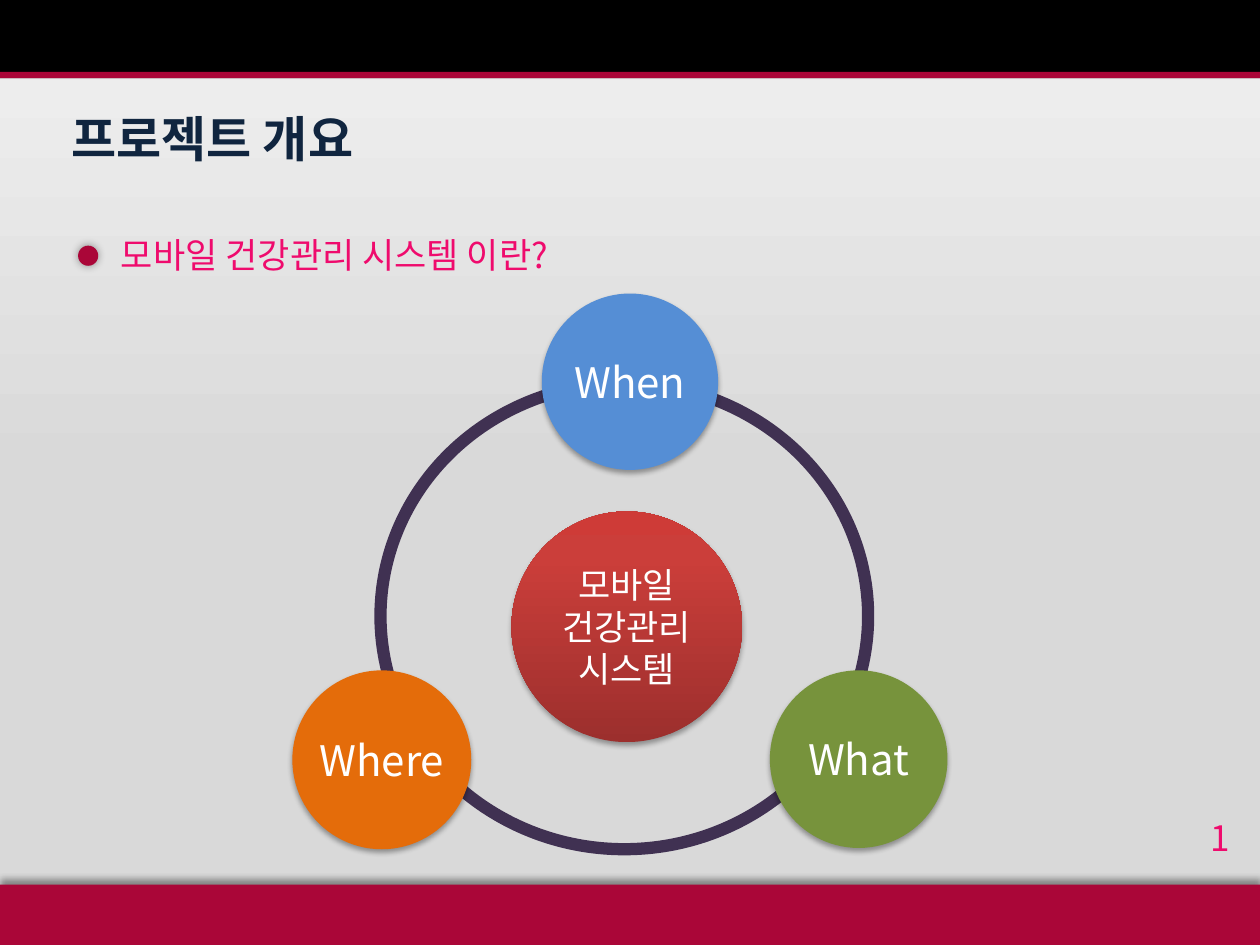
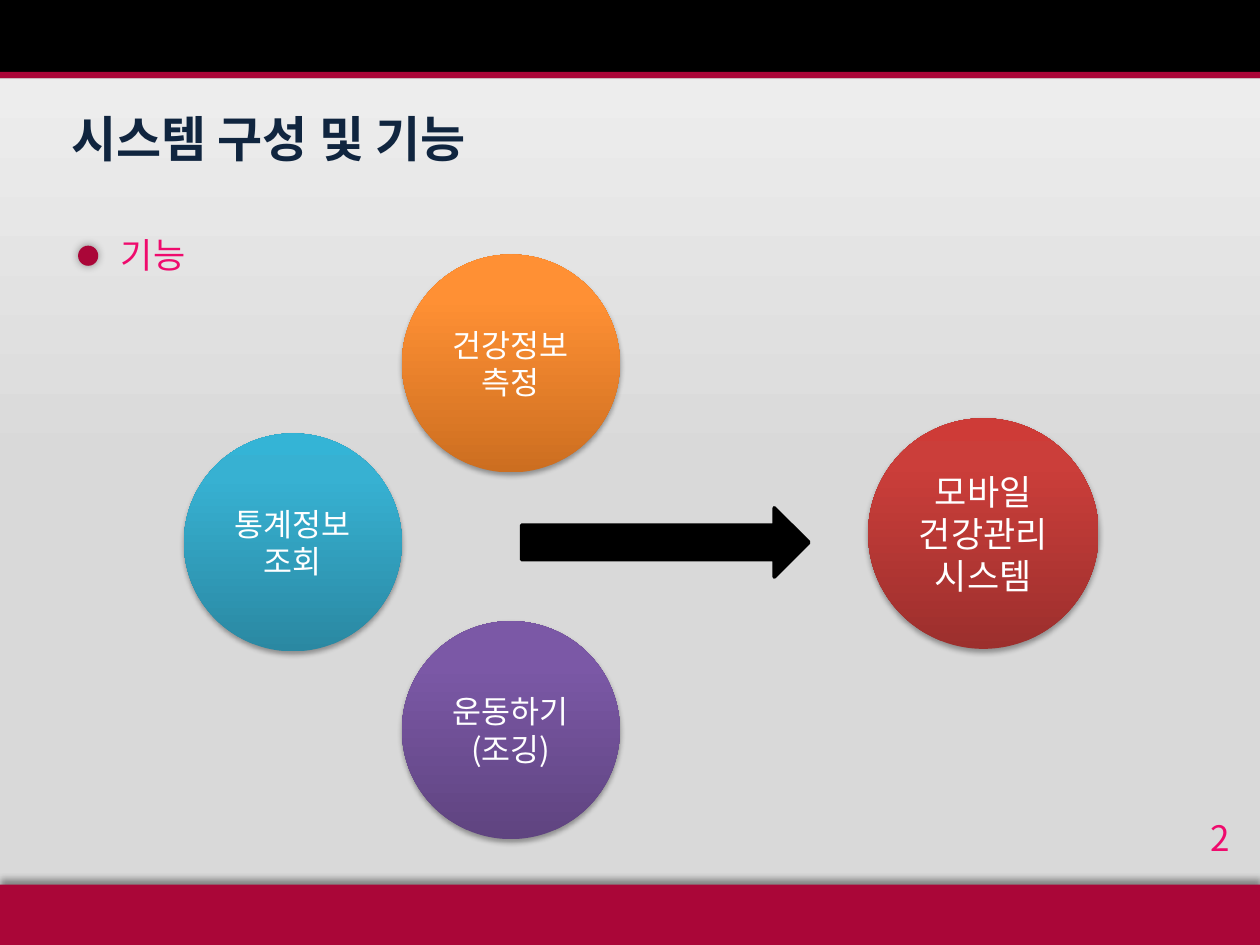
from lxml.etree import SubElement
from pptx import Presentation
from pptx.dml.color import RGBColor
from pptx.enum.shapes import MSO_SHAPE
from pptx.enum.text import MSO_ANCHOR, MSO_AUTO_SIZE, PP_ALIGN
from pptx.oxml.ns import qn
from pptx.util import Inches, Pt

FONT = "Noto Sans CJK KR"
BLACK = RGBColor(0x00, 0x00, 0x00)
WHITE = RGBColor(0xFF, 0xFF, 0xFF)
CRIMSON = RGBColor(0xAA, 0x06, 0x38)
NAVY = RGBColor(0x10, 0x25, 0x3F)
PINK = RGBColor(0xEF, 0x0B, 0x6D)
PURPLE = RGBColor(0x40, 0x31, 0x52)
BLUE = RGBColor(0x55, 0x8E, 0xD5)
ORANGE = RGBColor(0xE4, 0x6C, 0x0A)
GREEN = RGBColor(0x77, 0x93, 0x3C)
LIGHT_GREY = RGBColor(0xF2, 0xF2, 0xF2)
GREY = RGBColor(0xD9, 0xD9, 0xD9)

# Gradient colours at 0, 80 and 100 percent, from bottom to top
RED_BALL = [RGBColor(0x9C, 0x2F, 0x2D), RGBColor(0xCB, 0x3E, 0x3A), RGBColor(0xCE, 0x3B, 0x37)]
ORANGE_BALL = [RGBColor(0xCC, 0x6E, 0x20), RGBColor(0xFF, 0x90, 0x34), RGBColor(0xFF, 0x91, 0x36)]
CYAN_BALL = [RGBColor(0x2A, 0x88, 0xA2), RGBColor(0x37, 0xB1, 0xD2), RGBColor(0x34, 0xB4, 0xD6)]
PURPLE_BALL = [RGBColor(0x5F, 0x44, 0x80), RGBColor(0x7B, 0x58, 0xA6), RGBColor(0x7C, 0x57, 0xA8)]

# Opacity percent, blur points, distance points, direction degrees
BALL_SHADOW = (35, 3.1, 1.8, 90)
FOOTER_SHADOW = (40, 4, 3, 270)
DOT_SHADOW = (40, 5, 0, 0)

TITLE = {"size": Pt(28), "bold": True, "color": NAVY}
LEAD = {"size": Pt(20), "color": PINK}
BALL_LARGE = {"size": Pt(24), "color": WHITE}
BALL_MEDIUM = {"size": Pt(20), "color": WHITE}
BALL_SMALL = {"size": Pt(18), "color": WHITE}
SYSTEM_NAME = ["모바일", "건강관리", "시스템"]


def set_gradient(fill, element, colors, positions, angle):
    """Fill with colour stops; the angle runs counter-clockwise."""
    fill.gradient()
    fill.gradient_angle = angle
    stops = element.find(".//" + qn("a:gsLst"))
    for stop in list(stops):
        stops.remove(stop)
    for color, position in zip(colors, positions):
        stop = SubElement(stops, qn("a:gs"), pos=str(position * 1000))
        SubElement(stop, qn("a:srgbClr"), val=str(color))


def set_shadow(shape, opacity, blur, distance, direction):
    effects = shape._element.spPr.find(qn("a:effectLst"))
    shadow = SubElement(effects, qn("a:outerShdw"), blurRad=str(Pt(blur)), dist=str(Pt(distance)),
                        dir=str(direction * 60000), algn="ctr", rotWithShape="0")
    color = SubElement(shadow, qn("a:srgbClr"), val=str(BLACK))
    SubElement(color, qn("a:alpha"), val=str(opacity * 1000))


def add_span(para, text, style):
    span = para.add_run()
    span.text = text
    span.font.name = FONT
    for name, value in style.items():
        if name == "color":
            span.font.color.rgb = value
        else:
            setattr(span.font, name, value)
    SubElement(span.font._element, qn("a:ea"), typeface=FONT)


def write_lines(frame, lines, style, align=PP_ALIGN.LEFT, anchor=MSO_ANCHOR.TOP, wrap=True):
    settings = {"word_wrap": wrap, "vertical_anchor": anchor, "auto_size": MSO_AUTO_SIZE.NONE}
    for name, value in settings.items():
        setattr(frame, name, value)
    for index, line in enumerate(lines):
        para = frame.add_paragraph() if index else frame.paragraphs[0]
        para.alignment = align
        add_span(para, line, style)


def place(shape, left, top, width, height):
    box = {"left": left, "top": top, "width": width, "height": height}
    for name, value in box.items():
        setattr(shape, name, Inches(value))


def add_figure(page, kind, left, top, width, height, fill=None, line=None, line_width=0, shadow=None):
    shape = page.shapes.add_shape(kind, *map(Inches, (left, top, width, height)))
    shape.shadow.inherit = False
    if isinstance(fill, list):
        set_gradient(shape.fill, shape._element, fill, (0, 80, 100), 90)
    elif fill is None:
        shape.fill.background()
    else:
        shape.fill.solid()
        shape.fill.fore_color.rgb = fill
    if line is None:
        shape.line.fill.background()
    else:
        shape.line.color.rgb = line
        shape.line.width = Pt(line_width)
    if shadow:
        set_shadow(shape, *shadow)
    return shape


def add_ball(page, left, top, size, fill, lines, style, wrap=False):
    ball = add_figure(page, MSO_SHAPE.OVAL, left, top, size, size, fill, shadow=BALL_SHADOW)
    write_lines(ball.text_frame, lines, style, PP_ALIGN.CENTER, MSO_ANCHOR.MIDDLE, wrap)


def add_page(deck, number, title, lead):
    """Add a slide with its background, bands, title, lead line and number."""
    page = deck.slides.add_slide(deck.slide_layouts[1])
    set_gradient(page.background.fill, page.element, (LIGHT_GREY, GREY, GREY), (0, 50, 100), 270)

    add_figure(page, MSO_SHAPE.RECTANGLE, 0, 7.02, 10, 0.48, CRIMSON, shadow=FOOTER_SHADOW)
    add_figure(page, MSO_SHAPE.RECTANGLE, 0, 0, 10, 0.62, BLACK)
    add_figure(page, MSO_SHAPE.RECTANGLE, 0, 0.57, 10, 0.05, CRIMSON)
    add_figure(page, MSO_SHAPE.OVAL, 0.62, 1.95, 0.16, 0.16, CRIMSON, shadow=DOT_SHADOW)

    heading = page.shapes.title
    place(heading, 0.47, 0.81, 9, 0.57)
    write_lines(heading.text_frame, [title], TITLE)

    body = page.placeholders[1]
    place(body, 0.86, 1.8, 6.25, 0.44)
    para = body.text_frame.paragraphs[0]
    properties = para._p.get_or_add_pPr()
    properties.set("marL", "0")
    properties.set("indent", "0")
    SubElement(properties, qn("a:buNone"))
    para.space_before = Pt(0)
    write_lines(body.text_frame, [lead], LEAD)

    number_box = page.shapes.add_textbox(*map(Inches, (9.51, 6.43, 0.38, 0.44)))
    write_lines(number_box.text_frame, [str(number)], LEAD, wrap=False)
    return page


def build_overview(deck):
    page = add_page(deck, 1, "프로젝트 개요", "모바일 건강관리 시스템 이란?")
    add_figure(page, MSO_SHAPE.OVAL, 3.02, 3.04, 3.87, 3.7, line=PURPLE, line_width=7)
    questions = [
        ("When", 4.3, 2.33, 1.4, BLUE),
        ("Where", 2.32, 5.32, 1.42, ORANGE),
        ("What", 6.11, 5.32, 1.41, GREEN),
    ]
    for word, left, top, size, color in questions:
        add_ball(page, left, top, size, color, [word], BALL_LARGE)
    add_ball(page, 4.06, 4.06, 1.83, RED_BALL, SYSTEM_NAME, BALL_MEDIUM)


def build_functions(deck):
    page = add_page(deck, 2, "시스템 구성 및 기능", "기능")
    functions = [
        (["건강정보 측정"], 3.19, 2.02, ORANGE_BALL),
        (["통계정보조회"], 1.46, 3.44, CYAN_BALL),
        (["운동하기", "(조깅)"], 3.19, 4.93, PURPLE_BALL),
    ]
    for lines, left, top, colors in functions:
        add_ball(page, left, top, 1.73, colors, lines, BALL_SMALL, wrap=True)
    add_ball(page, 6.89, 3.32, 1.83, RED_BALL, SYSTEM_NAME, BALL_MEDIUM)
    add_figure(page, MSO_SHAPE.RIGHT_ARROW, 4.14, 4.03, 2.28, 0.55, BLACK, BLACK, 2)


def main():
    deck = Presentation()
    deck.slide_width = Inches(10)
    deck.slide_height = Inches(7.5)
    build_overview(deck)
    build_functions(deck)
    deck.save("out.pptx")


if __name__ == "__main__":
    main()
